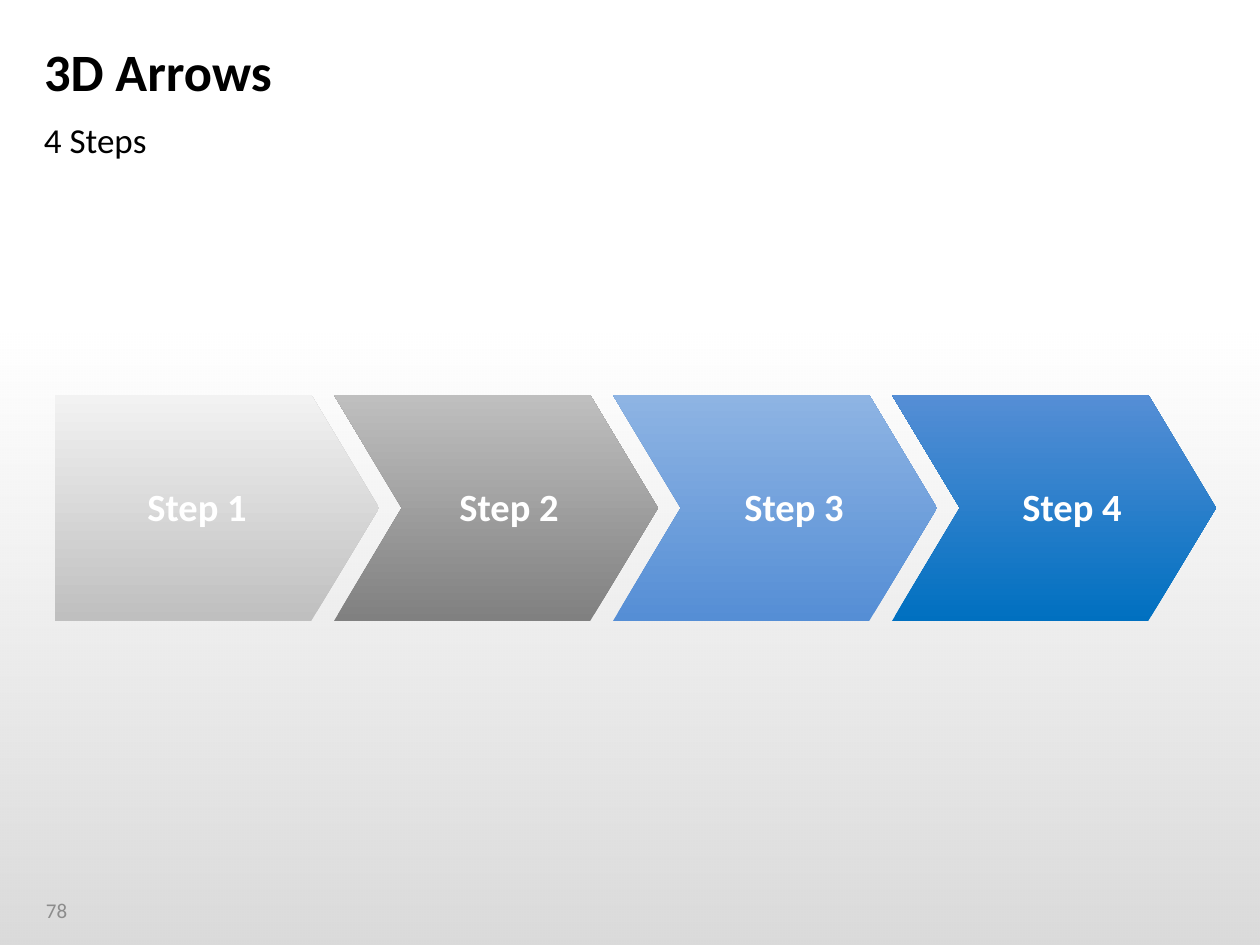
from lxml import etree
from pptx import Presentation
from pptx import util as u
from pptx.dml.color import RGBColor
from pptx.enum import shapes, text
from pptx.oxml.ns import qn

EMU_PER_PX = 914400 / 126
FONT = "Calibri"
STEPS = [
    ("Step 1", 197, "BFBFBF", "F2F2F2"),
    ("Step 2", 509, "808080", "BFBFBF"),
    ("Step 3", 794, "558ED5", "8EB4E3"),
    ("Step 4", 1072, "0070C0", "558ED5"),
]


def px(length):
    return u.Emu(round(length * EMU_PER_PX))


def color(hex_value):
    return RGBColor.from_string(hex_value)


def place(shape, left, top, width, height):
    shape.left, shape.top = px(left), px(top)
    shape.width, shape.height = px(width), px(height)


def write(shape, wording, size, hex_value, bold=False, align=text.PP_ALIGN.LEFT,
          anchor=text.MSO_ANCHOR.MIDDLE, insets=(0, 0, 0, 0)):
    frame = shape.text_frame
    frame.text = wording
    frame.word_wrap = True
    frame.auto_size = text.MSO_AUTO_SIZE.NONE
    frame.vertical_anchor = anchor
    (frame.margin_left, frame.margin_top,
     frame.margin_right, frame.margin_bottom) = [px(inset) for inset in insets]
    paragraph = frame.paragraphs[0]
    paragraph.alignment = align
    font = paragraph.runs[0].font
    font.name, font.size, font.bold = FONT, u.Pt(size), bold
    font.color.rgb = color(hex_value)
    return paragraph


def add_text(slide, box, wording, size, hex_value, **options):
    shape = slide.shapes.add_textbox(*[px(length) for length in box])
    write(shape, wording, size, hex_value, **options)


def add_gradient_shape(slide, kind, box, hex_values, angle):
    shape = slide.shapes.add_shape(kind, *[px(length) for length in box])
    shape.shadow.inherit = False
    shape.line.fill.background()
    shape.fill.gradient()
    shape.fill.gradient_angle = angle
    for stop, hex_value in zip(shape.fill.gradient_stops, hex_values):
        stop.color.rgb = color(hex_value)
    return shape


def add_backdrop(slide):
    backdrop = add_gradient_shape(slide, shapes.MSO_SHAPE.RECTANGLE,
                                  (0, 326, 1260, 619), ("000000", "000000"), 270)
    stop_colors = backdrop.fill._xPr.iter(qn("a:srgbClr"))
    for stop_color, alpha in zip(stop_colors, (0, 15)):
        etree.SubElement(stop_color, qn("a:alpha")).set("val", str(alpha * 1000))


def add_title(slide):
    title = slide.shapes.title
    place(title, 44, 33, 1171, 84)
    paragraph = write(title, "3D Arrows", 30, "000000", bold=True, insets=(0, 6, 13, 6))
    paragraph.line_spacing = 0.9


def add_step(slide, index, label, label_center, bottom_color, top_color):
    kind = shapes.MSO_SHAPE.CHEVRON if index else shapes.MSO_SHAPE.PENTAGON
    arrow = add_gradient_shape(slide, kind, (55 + 279 * index, 395, 324, 226),
                               (bottom_color, top_color), 90)
    arrow.adjustments[0] = 0.3
    add_text(slide, (label_center - 63, 475, 126, 63), label, 22, "FFFFFF",
             bold=True, align=text.PP_ALIGN.CENTER)


def main():
    presentation = Presentation()
    presentation.slide_width, presentation.slide_height = px(1260), px(945)
    slide = presentation.slides.add_slide(presentation.slide_layouts[5])
    slide.background.fill.solid()
    slide.background.fill.fore_color.rgb = color("FFFFFF")
    add_backdrop(slide)
    add_text(slide, (33, 885, 81, 50), "78", 12, "8C8C8C", insets=(13, 6, 13, 6))
    add_title(slide)
    add_text(slide, (44, 118, 1171, 47), "4 Steps", 20, "000000",
             anchor=text.MSO_ANCHOR.TOP)
    for index, step in enumerate(STEPS):
        add_step(slide, index, *step)
    presentation.save("out.pptx")


if __name__ == "__main__":
    main()
